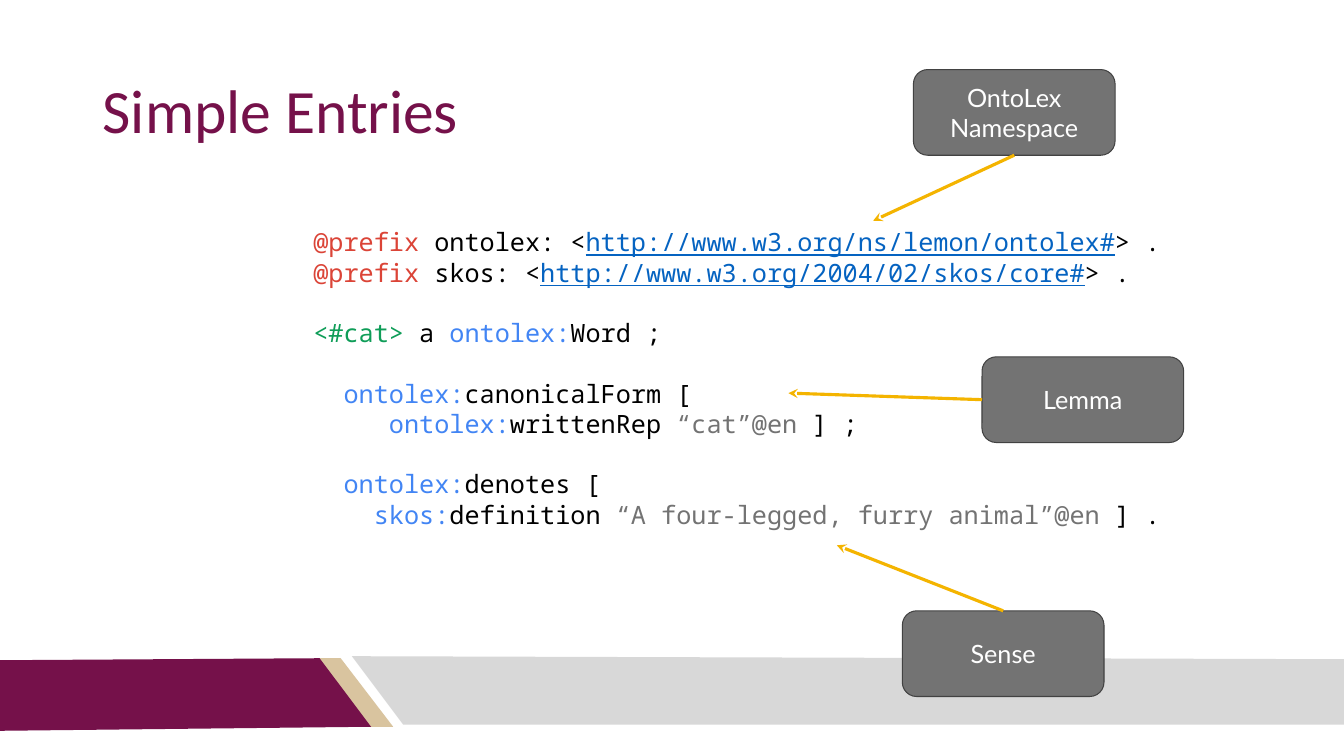
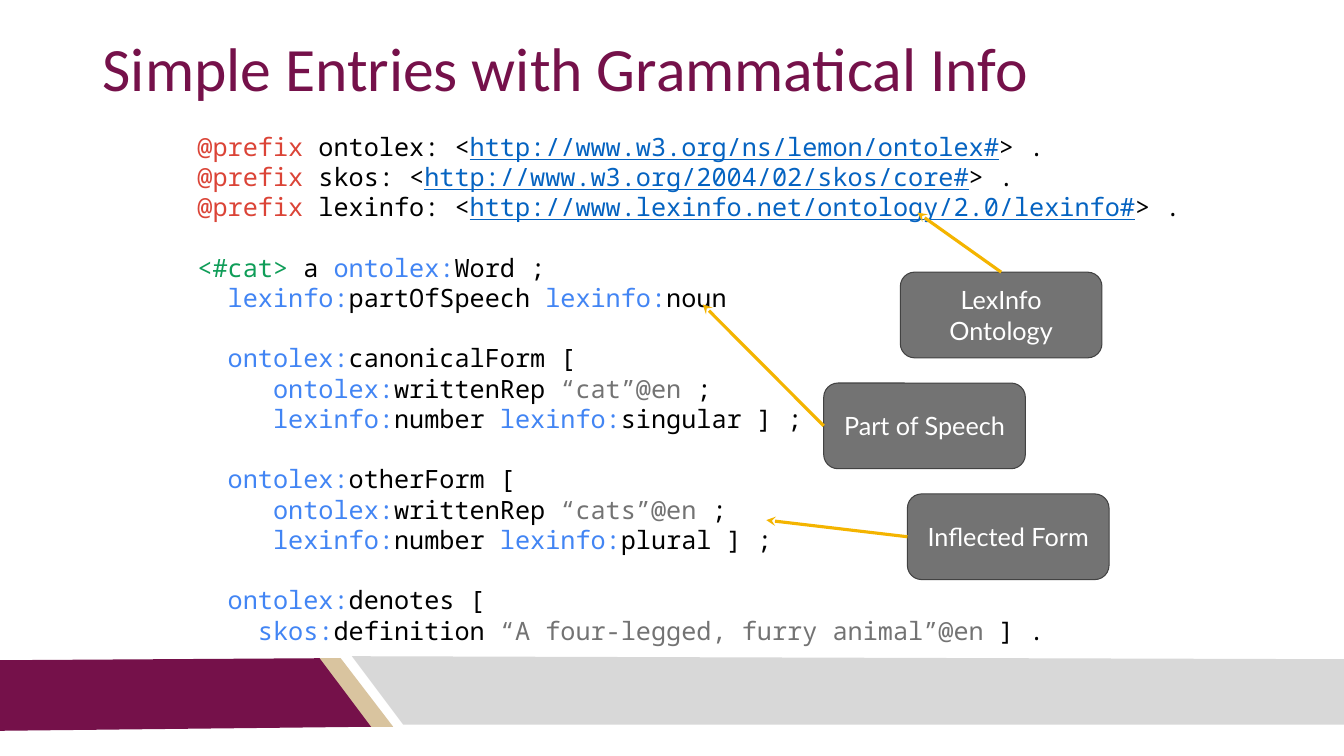
from lxml.etree import SubElement
from pptx import Presentation
from pptx.dml.color import RGBColor
from pptx.enum.shapes import MSO_CONNECTOR, MSO_SHAPE
from pptx.enum.text import MSO_ANCHOR, PP_ALIGN
from pptx.oxml.ns import qn
from pptx.util import Emu, Pt

PX = 9144  # 100 px to the inch
TOP, LEFT, BOTTOM = 0, 1, 2  # connection sites of a rounded rectangle

PLUM, SAND, SILVER = "75114A", "D9C49F", "D8D8D8"
GREY, DARK_GREY, AMBER = "737373", "424242", "F4B400"
BLACK, WHITE = "000000", "FFFFFF"
RED, GREEN, BLUE, LINK = "DB4437", "0F9D58", "4285F4", "0563C1"

BANDS = [
    (SAND, [(316, 653), (338, 653), (390, 721), (367, 721)]),
    (PLUM, [(0, 655), (317, 653), (368, 721), (0, 725)]),
    (SILVER, [(349, 651), (1333, 654), (1333, 719), (400, 719)]),
]

# Code listings: "|" separates the coloured parts of a line.
PREFIXES = """@prefix| ontolex: <|http://www.w3.org/ns/lemon/ontolex#|> .
@prefix| skos: <|http://www.w3.org/2004/02/skos/core#|> ."""

DENOTES = """  |ontolex:|denotes [
    |skos:|definition |“A four-legged, furry animal”@en| ] ."""

SIMPLE_ENTRY = f"""{PREFIXES}

<#cat>| a |ontolex:|Word ;

  |ontolex:|canonicalForm [
     |ontolex:|writtenRep |“cat”@en| ] ;

{DENOTES}"""

GRAMMAR_ENTRY = f"""{PREFIXES}
@prefix| lexinfo: <|http://www.lexinfo.net/ontology/2.0/lexinfo#|> .

<#cat>| a |ontolex:|Word ;
  |lexinfo:|partOfSpeech |lexinfo:|noun

  |ontolex:|canonicalForm [
     |ontolex:|writtenRep |“cat”@en| ;
     |lexinfo:|number |lexinfo:|singular ] ;

  |ontolex:|otherForm [
     |ontolex:|writtenRep |“cats”@en| ;
     |lexinfo:|number |lexinfo:|plural ] ;

{DENOTES}"""


def px(*lengths):
    return [Emu(length * PX) for length in lengths]


def rgb(color):
    return RGBColor.from_string(color)


def set_font(font, name, size, color):
    font.name = name
    font.size = Pt(size)
    font.color.rgb = rgb(color)


def code_color(part):
    """Choose the colour of a part of a code line by how it begins or ends."""
    for start, color in (("@", RED), ("http", LINK), ("<#", GREEN), ("“", GREY)):
        if part.startswith(start):
            return color
    return BLUE if part.endswith(":") else BLACK


class Deck:
    def __init__(self):
        self.deck = Presentation()
        self.deck.slide_width, self.deck.slide_height = px(1333, 750)
        self.page = None

    def add_page(self, title, title_top):
        self.page = self.deck.slides.add_slide(self.deck.slide_layouts[6])
        for color, points in BANDS:
            self.band(color, points)
        self.title(title, title_top)

    def band(self, color, points):
        builder = self.page.shapes.build_freeform(*points[0], scale=PX)
        builder.add_line_segments(points[1:], close=True)
        shape = builder.convert_to_shape()
        shape.shadow.inherit = False
        shape.fill.solid()
        shape.fill.fore_color.rgb = rgb(color)
        shape.line.fill.background()

    def frame(self, shape, anchor):
        """Give a shape's text the shared margins and return its text frame."""
        frame = shape.text_frame
        frame.word_wrap = True
        frame.vertical_anchor = anchor
        (frame.margin_left, frame.margin_top,
         frame.margin_right, frame.margin_bottom) = px(10, 10, 10, 10)
        return frame

    def title(self, text, top):
        box = self.page.shapes.add_textbox(*px(92, top, 1150, 145))
        frame = self.frame(box, MSO_ANCHOR.MIDDLE)
        frame.text = text
        para = frame.paragraphs[0]
        para.line_spacing = 0.9
        set_font(para.runs[0].font, "Calibri", 44, PLUM)

    def code(self, text, left, top, width, height):
        box = self.page.shapes.add_textbox(*px(left, top, width, height))
        frame = self.frame(box, MSO_ANCHOR.TOP)
        para = None
        for stanza in text.split("\n\n"):
            for number, line in enumerate(stanza.split("\n")):
                first = para is None
                para = frame.paragraphs[0] if first else frame.add_paragraph()
                if number == 0 and not first:
                    para.space_before = Pt(21.6)
                for part in line.split("|"):
                    span = para.add_run()
                    span.text = part
                    color = code_color(part)
                    set_font(span.font, "Noto Sans Mono", 18, color)
                    span.font.underline = color == LINK

    def callout(self, text, left, top, site, target):
        """Add a label box with an arrow from one of its sides to the target."""
        box = self.page.shapes.add_shape(
            MSO_SHAPE.ROUNDED_RECTANGLE, *px(left, top, 200, 85))
        box.shadow.inherit = False
        box.fill.solid()
        box.fill.fore_color.rgb = rgb(GREY)
        box.line.color.rgb = rgb(DARK_GREY)
        box.line.width = Pt(0.75)
        frame = self.frame(box, MSO_ANCHOR.MIDDLE)
        frame.text = text
        para = frame.paragraphs[0]
        para.alignment = PP_ALIGN.CENTER
        set_font(para.runs[0].font, "Lato", 18, WHITE)
        self.arrow(box, site, target)

    def arrow(self, box, site, target):
        arrow = self.page.shapes.add_connector(
            MSO_CONNECTOR.STRAIGHT, *px(0, 0, *target))
        arrow.begin_connect(box, site)
        arrow.line.color.rgb = rgb(AMBER)
        arrow.line.width = Pt(2.25)
        SubElement(arrow.line._get_or_add_ln(), qn("a:tailEnd"), type="stealth")
        SubElement(arrow._element.spPr, qn("a:effectLst"))

    def save(self):
        self.deck.save("out.pptx")


def main():
    deck = Deck()

    deck.add_page("Simple Entries", 40)
    deck.code(SIMPLE_ENTRY, 301, 215, 903, 266)
    deck.callout("OntoLex Namespace", 906, 69, BOTTOM, (866, 219))
    deck.callout("Lemma", 974, 354, LEFT, (782, 390))
    deck.callout("Sense", 895, 606, TOP, (830, 541))

    deck.add_page("Simple Entries with Grammatical Info", -2)
    deck.code(GRAMMAR_ENTRY, 186, 120, 1070, 592)
    deck.callout("LexInfo Ontology", 893, 270, TOP, (910, 211))
    deck.callout("Part of Speech", 817, 380, LEFT, (697, 302))
    deck.callout("Inflected Form", 900, 490, LEFT, (760, 516))

    deck.save()


if __name__ == "__main__":
    main()
